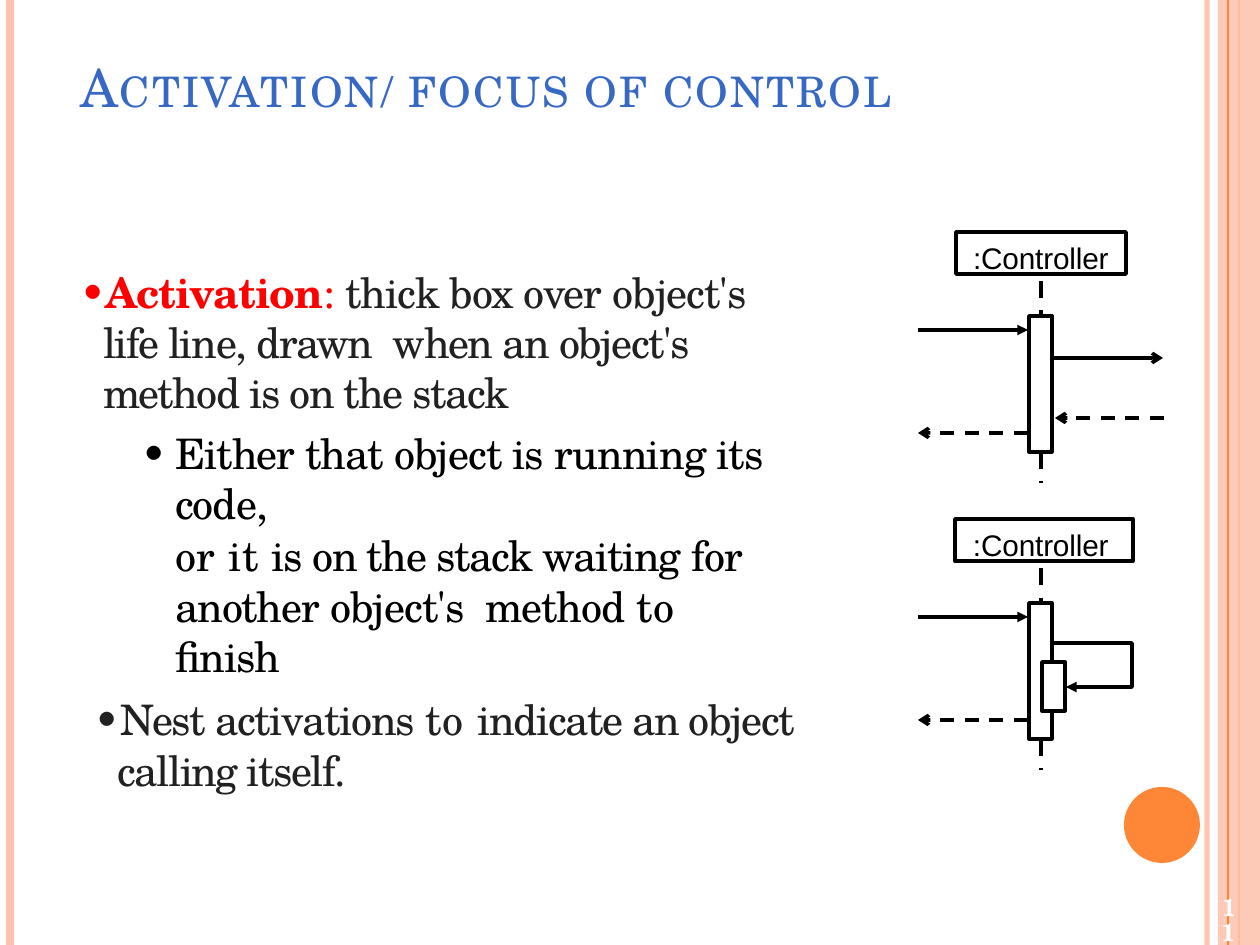
import dataclasses

import pptx
import pptx.dml.color
import pptx.enum.dml
import pptx.enum.shapes
import pptx.enum.text
import pptx.oxml.ns
import pptx.util
from lxml import etree

SHAPE = pptx.enum.shapes.MSO_SHAPE
ALIGN = pptx.enum.text.PP_ALIGN
ANCHOR = pptx.enum.text.MSO_ANCHOR


@dataclasses.dataclass(frozen=True)
class Theme:
    serif: str = "TeX Gyre Schola"
    sans: str = "Arial"
    peach: str = "FEC3AE"
    orange: str = "FE8637"
    title: str = "3668C4"
    key: str = "FF0000"
    body: str = "212121"
    ink: str = "000000"
    white: str = "FFFFFF"
    title_size: int = 30
    body_size: int = 24
    label_size: int = 17
    number_size: int = 14
    stroke: float = 2
    lifeline: float = 2.4


THEME = Theme()
SECOND_DIAGRAM = 287  # px between the two diagrams


def px(length):
    return pptx.util.Emu(round(length * 914400 / 126))


def rgb(color):
    return pptx.dml.color.RGBColor.from_string(color)


def child(parent, tag, **attributes):
    return etree.SubElement(parent, pptx.oxml.ns.qn(tag), attributes)


def set_alpha(fill_parent, percent):
    color = fill_parent.find(".//" + pptx.oxml.ns.qn("a:srgbClr"))
    child(color, "a:alpha", val=str(percent * 1000))


# Text
def add_run(paragraph, text, *, size=THEME.body_size, font=THEME.serif,
            color=THEME.body, bold=False, underline=False, spacing=0,
            small_caps=False):
    run = paragraph.add_run()
    run.text = text
    run.font.size = pptx.util.Pt(size)
    run.font.name = font
    run.font.bold = bold
    run.font.underline = underline
    run.font.color.rgb = rgb(color)
    properties = run.font._element
    properties.set("spc", str(round(spacing * 100)))
    if small_caps:
        properties.set("cap", "small")


def format_frame(frame, top_inset=0, anchor=ANCHOR.TOP):
    frame.word_wrap = True
    frame.auto_size = pptx.enum.text.MSO_AUTO_SIZE.NONE
    frame.vertical_anchor = anchor
    frame.margin_left = frame.margin_right = frame.margin_bottom = 0
    frame.margin_top = px(top_inset)
    return frame


def format_paragraph(paragraph, left=0, hanging=0, right=0, bullet=False,
                     before=0, align=ALIGN.LEFT):
    properties = paragraph._p.get_or_add_pPr()
    for name, length in (("marL", left), ("marR", right), ("indent", -hanging)):
        properties.set(name, str(px(length)))
    if bullet:
        child(properties, "a:buFont", typeface=THEME.serif)
        child(properties, "a:buChar", char="•")
    else:
        child(properties, "a:buNone")
    paragraph.alignment = align
    paragraph.space_before = pptx.util.Pt(before)
    return paragraph


def add_text_box(slide, left, top, width, height, **frame_format):
    box = slide.shapes.add_textbox(px(left), px(top), px(width), px(height))
    return format_frame(box.text_frame, **frame_format)


# Shapes and lines
def add_filled(slide, preset, left, top, width, height, color):
    shape = slide.shapes.add_shape(preset, px(left), px(top), px(width), px(height))
    shape.shadow.inherit = False
    shape.fill.solid()
    shape.fill.fore_color.rgb = rgb(color)
    shape.line.fill.background()
    return shape


def add_outlined(slide, left, top, width, height, fill=None):
    box = add_filled(slide, SHAPE.RECTANGLE, left, top, width, height, THEME.white)
    if fill is None:
        box.fill.background()
    box.line.color.rgb = rgb(THEME.ink)
    box.line.width = pptx.util.Pt(THEME.stroke)
    return box


def add_line(slide, start, end, color=THEME.ink, width=THEME.stroke,
             dashed=False, arrow=None):
    line = slide.shapes.add_connector(
        pptx.enum.shapes.MSO_CONNECTOR.STRAIGHT, *map(px, start + end))
    line.line.color.rgb = rgb(color)
    line.line.width = pptx.util.Pt(width)
    if dashed:
        line.line.dash_style = pptx.enum.dml.MSO_LINE.DASH
    properties = line._element.spPr
    if arrow:
        child(properties.find(pptx.oxml.ns.qn("a:ln")), "a:tailEnd", type=arrow)
    child(properties, "a:effectLst")
    return line


def add_self_call(slide, points):
    builder = slide.shapes.build_freeform(*map(px, points[0]))
    builder.add_line_segments([tuple(map(px, p)) for p in points[1:]], close=False)
    call = builder.convert_to_shape()
    call.shadow.inherit = False
    call.fill.background()
    call.line.color.rgb = rgb(THEME.ink)
    call.line.width = pptx.util.Pt(THEME.stroke)
    child(call._element.spPr.find(pptx.oxml.ns.qn("a:ln")), "a:tailEnd", type="triangle")


# Parts of the slide
def add_borders(slide):
    for x, color, width in ((1207, THEME.peach, 3), (10, THEME.peach, 4.5),
                            (1239, THEME.orange, 1.5)):
        rule = add_line(slide, (x, 0), (x, 945), color, width)
        if x == 1207:
            set_alpha(rule._element.spPr, 93)
        if x == 1239:
            rule.left = px(1239)
    band = add_filled(slide, SHAPE.RECTANGLE, 1218, 0, 42, 945, THEME.peach)
    set_alpha(band._element.spPr, 87)
    add_line(slide, (1228, 0), (1228, 945), THEME.orange, 0.75)
    add_filled(slide, SHAPE.OVAL, 1124, 787, 76, 76, THEME.orange)


def add_title(slide):
    title = slide.shapes.title
    title.left, title.top, title.width, title.height = map(px, (79, 54, 876, 64))
    frame = format_frame(title.text_frame, top_inset=1, anchor=ANCHOR.BOTTOM)
    add_run(format_paragraph(frame.paragraphs[0], left=1),
            "Activation/ focus of control", size=THEME.title_size,
            color=THEME.title, spacing=1.2, small_caps=True)


def add_body(slide):
    frame = add_text_box(slide, 79, 262, 722, 423, top_inset=4)
    definition = format_paragraph(frame.paragraphs[0], 24, 23, bullet=True)
    add_run(definition, "Activation", color=THEME.key, bold=True, spacing=-0.6)
    add_run(definition, ": ", color=THEME.key, spacing=-0.6)
    add_run(definition, "thick box over object's ", spacing=-0.5)
    add_run(definition, "life line, drawn  when an object's ", spacing=-0.8)
    add_run(definition, "method is on the stack", spacing=-0.8)

    reason = format_paragraph(frame.add_paragraph(), 96, 34, bullet=True, before=5.9)
    reason.level = 1
    add_run(reason, "Either that object is running its code,",
            color=THEME.ink, spacing=-0.5)

    waiting = format_paragraph(frame.add_paragraph(), 96, right=53, before=0.8)
    for text, spacing in (("or it ", 0.4), ("is on the stack waiting ", -0.7),
                          ("for another object's  method ", -0.5),
                          ("to ", 0.4), ("finish", -0.7)):
        add_run(waiting, text, color=THEME.ink, spacing=spacing)

    frame = add_text_box(slide, 94, 693, 721, 103, top_inset=1)
    nesting = format_paragraph(frame.paragraphs[0], 24, 23, bullet=True)
    for text, spacing in (("Nest activations ", -0.7), ("to ", 0.5),
                          ("indicate an object ", -0.8), ("calling itself.", -0.9)):
        add_run(nesting, text, spacing=spacing)


def add_activation(slide, offset, label_left, label_width):
    """Labelled object with its life line, thick box, call and return."""
    label = add_outlined(slide, label_left, 232 + offset, label_width, 42)
    frame = format_frame(label.text_frame, top_inset=8)
    add_run(format_paragraph(frame.paragraphs[0], left=973 - label_left),
            ":Controller", size=THEME.label_size, font=THEME.sans,
            color=THEME.ink, underline=True, spacing=-0.1)
    for top, bottom in ((281, 316), (452, 483)):
        add_line(slide, (1041, top + offset), (1041, bottom + offset),
                 width=THEME.lifeline, dashed=True)
    add_outlined(slide, 1029, 316 + offset, 23, 136)
    add_line(slide, (918, 330 + offset), (1028, 330 + offset), arrow="triangle")
    add_line(slide, (1028, 433 + offset), (918, 433 + offset),
             dashed=True, arrow="arrow")


def add_page_number(slide):
    frame = add_text_box(slide, 1212, 895, 29, 52, anchor=ANCHOR.MIDDLE)
    number = format_paragraph(frame.paragraphs[0], left=4, align=ALIGN.CENTER)
    number.line_spacing = pptx.util.Pt(14.8)
    add_run(number, "11", size=THEME.number_size, color=THEME.white,
            bold=True, spacing=-0.7)


def main():
    deck = pptx.Presentation()
    deck.slide_width, deck.slide_height = px(1260), px(945)
    slide = deck.slides.add_slide(deck.slide_layouts[5])
    add_borders(slide)
    add_title(slide)
    add_body(slide)
    # Call to another object and its return
    add_activation(slide, 0, 956, 170)
    add_line(slide, (1053, 358), (1163, 358), arrow="arrow")
    add_line(slide, (1164, 418), (1055, 418), dashed=True, arrow="arrow")
    # Nested activation for a call to itself
    add_activation(slide, SECOND_DIAGRAM, 955, 178)
    add_outlined(slide, 1042, 662, 23, 49, fill=THEME.white)
    add_self_call(slide, [(1053, 643), (1132, 643), (1132, 687), (1066, 687)])
    add_page_number(slide)
    deck.save("out.pptx")


if __name__ == "__main__":
    main()
